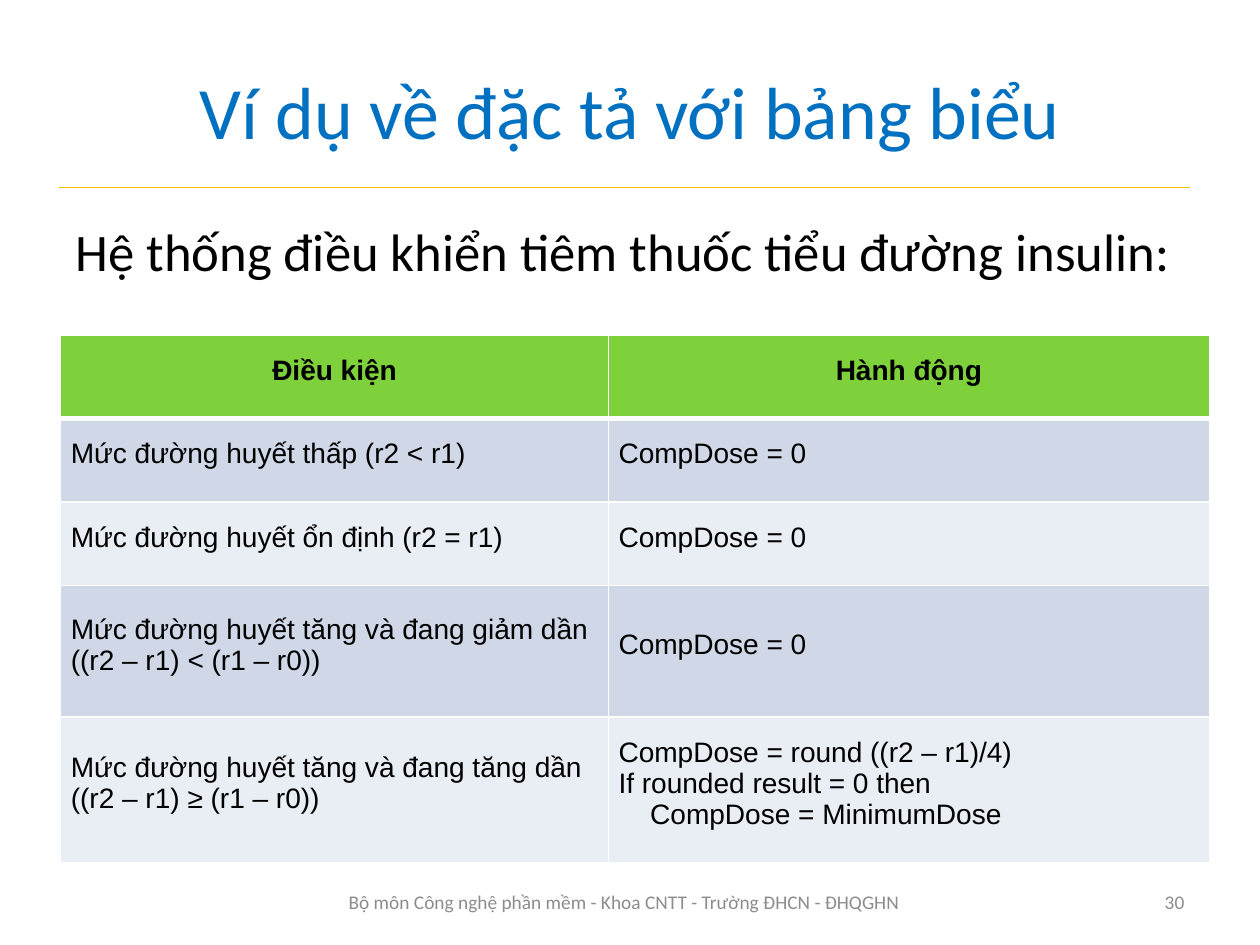
"""Build the slide on tabular specification of an insulin pump controller."""
from lxml.etree import SubElement
from pptx import Presentation
from pptx.dml.color import RGBColor
from pptx.enum.shapes import MSO_CONNECTOR
from pptx.enum.text import MSO_ANCHOR as Anchor, PP_ALIGN as Align
from pptx.oxml.ns import qn
from pptx.util import Pt

PX = 9144


def color(value):
    return RGBColor.from_string(value)


def write(frame, text, size, font="Calibri", fill="000000", bold=False,
          align=Align.LEFT, spacing=None, indents=()):
    for index, line in enumerate(text.split("\n")):
        paragraph = frame.add_paragraph() if index else frame.paragraphs[0]
        paragraph.alignment = align
        paragraph.line_spacing = spacing
        if index < len(indents):
            paragraph._p.get_or_add_pPr().set("marL", str(indents[index] * PX))
        run = paragraph.add_run()
        run.text = line
        run.font.size = Pt(size)
        run.font.name = font
        run.font.bold = bold
        run.font.color.rgb = color(fill)


deck = Presentation()
deck.slide_width, deck.slide_height = 996 * PX, 747 * PX
slide = deck.slides.add_slide(deck.slide_layouts[6])

rule = slide.shapes.add_connector(
    MSO_CONNECTOR.STRAIGHT, 47 * PX, 148 * PX, 941 * PX, 148 * PX)
rule.line.color.rgb = color("FEB604")
rule.line.width = Pt(0.75)
SubElement(rule._element.spPr, qn("a:effectLst"))

texts = [
    ("Hệ thống điều khiển tiêm thuốc tiểu đường insulin:",
     (50, 174, 910, 493), Anchor.TOP, dict(size=30, spacing=0.9)),
    ("Ví dụ về đặc tả với bảng biểu",
     (0, 24, 996, 125), Anchor.MIDDLE, dict(size=42, fill="0070C0", align=Align.CENTER)),
    ("Bộ môn Công nghệ phần mềm - Khoa CNTT - Trường ĐHCN - ĐHQGHN",
     (256, 693, 475, 40), Anchor.MIDDLE, dict(size=11, fill="8C8C8C", align=Align.CENTER)),
    ("30",
     (714, 693, 232, 40), Anchor.MIDDLE, dict(size=11, fill="8C8C8C", align=Align.RIGHT)),
]
for text, place, anchor, style in texts:
    frame = slide.shapes.add_textbox(*(length * PX for length in place)).text_frame
    frame.word_wrap = True
    frame.vertical_anchor = anchor
    write(frame, text, **style)

rules = [
    ("Điều kiện", "Hành động"),
    ("Mức đường huyết thấp (r2 < r1)", "CompDose = 0"),
    ("Mức đường huyết ổn định (r2 = r1)", "CompDose = 0"),
    ("Mức đường huyết tăng và đang giảm dần\n((r2 – r1) < (r1 – r0))", "CompDose = 0"),
    ("Mức đường huyết tăng và đang tăng dần\n((r2 – r1) ≥ (r1 – r0))",
     "CompDose = round ((r2 – r1)/4)\nIf rounded result = 0 then\nCompDose = MinimumDose"),
]
row_heights = [66, 66, 66, 104, 115]
column_widths = [433, 475]

table = slide.shapes.add_table(
    len(rules), len(column_widths), 48 * PX, 265 * PX,
    sum(column_widths) * PX, sum(row_heights) * PX).table
table.first_row = table.horz_banding = False
for column, width in zip(table.columns, column_widths):
    column.width = width * PX

for r, (row, height) in enumerate(zip(rules, row_heights)):
    table.rows[r].height = height * PX
    header = r == 0
    for c, text in enumerate(row):
        cell = table.cell(r, c)
        cell.vertical_anchor = Anchor.MIDDLE
        cell.margin_left = cell.margin_right = 8 * PX
        cell.margin_top, cell.margin_bottom = 0, 10 * PX
        below_header = {"lnB": 0, "lnT": 1}
        for side in ("lnL", "lnR", "lnT", "lnB"):
            points = 3 if below_header.get(side) == r else 1
            border = SubElement(cell._tc.get_or_add_tcPr(), qn(f"a:{side}"), w=str(Pt(points)))
            SubElement(SubElement(border, qn("a:solidFill")), qn("a:srgbClr"), val="FFFFFF")
        cell.fill.solid()
        cell.fill.fore_color.rgb = color(
            "7FD13B" if header else "D0D8E8" if r % 2 else "E9EDF4")
        write(cell.text_frame, text, size=16, font="Arial", bold=header,
              align=Align.CENTER if header else Align.LEFT, indents=(0, 0, 25))

deck.save("out.pptx")
